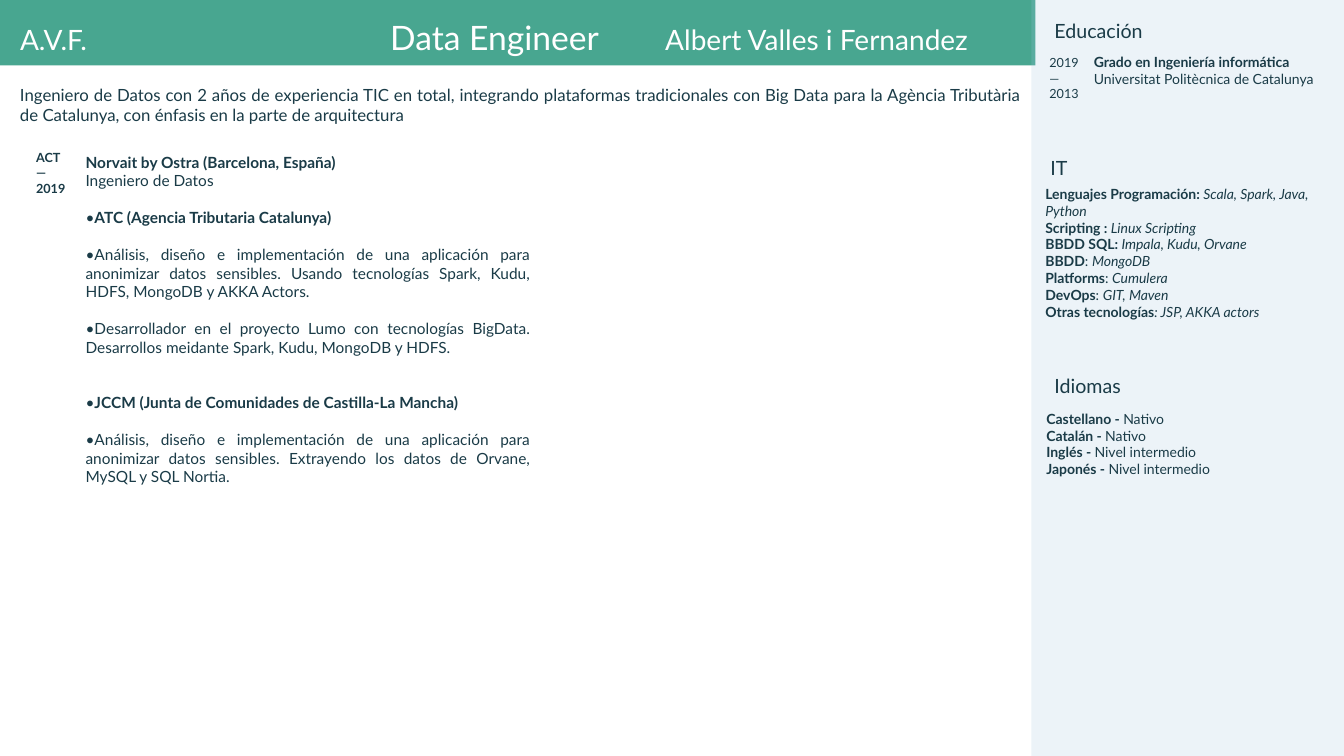
import pptx
import pptx.util
import pptx.dml.color
import pptx.enum.text
import pptx.enum.shapes
import pptx.oxml.ns
import lxml.etree

Inches = pptx.util.Inches
Pt = pptx.util.Pt
ALIGN = pptx.enum.text.PP_ALIGN
INK, WHITE = "1A3B47", "FFFFFF"


def color(value):
    return pptx.dml.color.RGBColor.from_string(value)


def write(sp, box, paragraphs, size, ink=INK, align=ALIGN.LEFT):
    sp.left, sp.top, sp.width, sp.height = [Inches(v) for v in box]
    tf = sp.text_frame
    tf.word_wrap = True
    tf.auto_size = pptx.enum.text.MSO_AUTO_SIZE.NONE
    tf.vertical_anchor = pptx.enum.text.MSO_ANCHOR.TOP
    for i, runs in enumerate(paragraphs):
        p = tf.add_paragraph() if i else tf.paragraphs[0]
        p.alignment = align
        p.space_before = Pt(0)
        for text, style in runs:
            r = p.add_run()
            r.text = text
            r.font.name = "Lato"
            r.font.size = Pt(size)
            r.font.bold = style == "b"
            r.font.italic = style == "i"
            r.font.color.rgb = color(ink)
    return tf


prs = pptx.Presentation()
prs.slide_width, prs.slide_height = Inches(13.33), Inches(7.5)
s = prs.slides.add_slide(prs.slide_layouts[5])

panels = []
for box, fill in [((0, 0, 10.27, 0.65), "48A690"), ((10.23, 0, 3.1, 7.5), "A1C5E0")]:
    sp = s.shapes.add_shape(pptx.enum.shapes.MSO_SHAPE.RECTANGLE, *[Inches(v) for v in box])
    sp.shadow.inherit = False
    sp.fill.solid()
    sp.fill.fore_color.rgb = color(fill)
    sp.line.fill.background()
    panels.append(sp)
sidebar_color = panels[1].element.spPr.find(".//" + pptx.oxml.ns.qn("a:srgbClr"))
lxml.etree.SubElement(sidebar_color, pptx.oxml.ns.qn("a:alpha"), val="20000")

title = s.shapes.title
title.element.getparent().append(title.element)
write(title, (3.77, 0.12, 2.94, 0.5), [[("Data Engineer", "")]], 24, WHITE)

summary = (
    "Ingeniero de Datos con 2 años de experiencia TIC en total, integrando plataformas "
    "tradicionales con Big Data para la Agència Tributària de Catalunya, con énfasis en la "
    "parte de arquitectura"
)
labels = [
    ((0.1, 0.17, 2.99, 0.44), "A.V.F.", 20, WHITE, ALIGN.LEFT),
    ((5.97, 0.17, 4.26, 0.44), "Albert Valles i Fernandez", 20, WHITE, ALIGN.CENTER),
    ((0.1, 0.79, 10.13, 0.5), summary, 12, INK, ALIGN.JUSTIFY),
    ((10.36, 0.14, 2.15, 0.33), "Educación", 14, INK, ALIGN.LEFT),
    ((10.32, 1.5, 2.15, 0.33), "IT", 14, INK, ALIGN.LEFT),
    ((10.36, 3.66, 1.76, 0.33), "Idiomas", 14, INK, ALIGN.LEFT),
]
for box, text, size, ink, align in labels:
    write(s.shapes.add_textbox(0, 0, 0, 0), box, [[(text, "")]], size, ink, align)

degree = [
    [("Grado en Ingeniería informática", "b")],
    [("Universitat Politècnica de Catalunya", "")],
]
skills = [
    [("Lenguajes Programación: ", "b"), ("Scala, Spark, Java, Python", "i")],
    [("Scripting : ", "b"), ("Linux Scripting", "i")],
    [("BBDD SQL: ", "b"), ("Impala, Kudu, Orvane", "i")],
    [("BBDD", "b"), (": ", ""), ("MongoDB", "i")],
    [("Platforms", "b"), (": ", ""), ("Cumulera", "i")],
    [("DevOps", "b"), (": ", ""), ("GIT, Maven", "i")],
    [("Otras tecnologías", "b"), (": JSP, AKKA actors", "i")],
]
languages = [
    [(name + " - ", "b"), (level, "")]
    for name, level in [
        ("Castellano", "Nativo"),
        ("Catalán", "Nativo"),
        ("Inglés", "Nivel intermedio"),
        ("Japonés", "Nivel intermedio"),
    ]
]
study_dates = [[(text, "")] for text in ("2019", "—", "2013")]
job_dates = [[(text, "b")] for text in ("ACT", "—", "2019")]
lists = [
    ((10.75, 0.48, 2.57, 0.44), degree, 10),
    ((10.31, 0.5, 0.6, 0.55), study_dates, 9),
    ((10.27, 1.79, 3, 1.62), skills, 10),
    ((10.28, 4.02, 2.97, 1.45), languages, 10),
    ((0.26, 1.44, 0.6, 0.71), job_dates, 9),
]
for box, paragraphs, size in lists:
    write(s.shapes.add_textbox(0, 0, 0, 0), box, paragraphs, size)

anonymizing = "Análisis, diseño e implementación de una aplicación para anonimizar datos sensibles. "
experience = [
    ("Norvait by Ostra (Barcelona, España)", "b", 0),
    ("Ingeniero de Datos", "", 0),
    ("ATC (Agencia Tributaria Catalunya)", "b", 1),
    (anonymizing + "Usando tecnologías Spark, Kudu, HDFS, MongoDB y AKKA Actors.", "", 1),
    (
        "Desarrollador en el proyecto Lumo con tecnologías BigData. "
        "Desarrollos meidante Spark, Kudu, MongoDB y HDFS.",
        "",
        1,
    ),
    ("JCCM (Junta de Comunidades de Castilla-La Mancha)", "b", 2),
    (anonymizing + "Extrayendo los datos de Orvane, MySQL y SQL Nortia.", "", 1),
]
tf = write(
    s.shapes.add_textbox(0, 0, 0, 0),
    (0.75, 1.47, 4.61, 3.43),
    [[(text, style)] for text, style, gap in experience],
    11,
    align=ALIGN.JUSTIFY,
)
for p, (text, style, gap) in zip(tf.paragraphs, experience):
    if gap:
        p.space_before = Pt(13.2 * gap)
        pPr = p._p.get_or_add_pPr()
        pPr.set("marL", "0")
        pPr.set("indent", "0")
        lxml.etree.SubElement(pPr, pptx.oxml.ns.qn("a:buFont"), typeface="Lato")
        lxml.etree.SubElement(pPr, pptx.oxml.ns.qn("a:buChar"), char="•")

prs.save("out.pptx")
